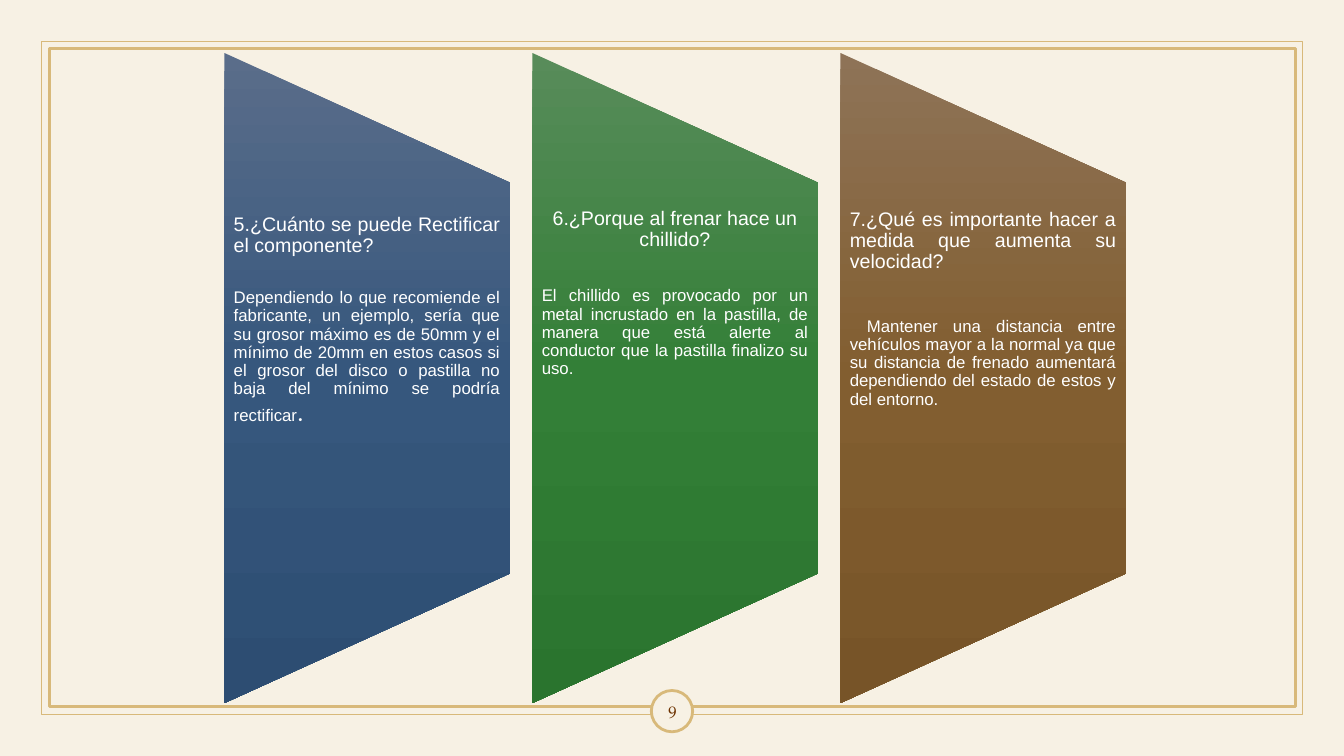
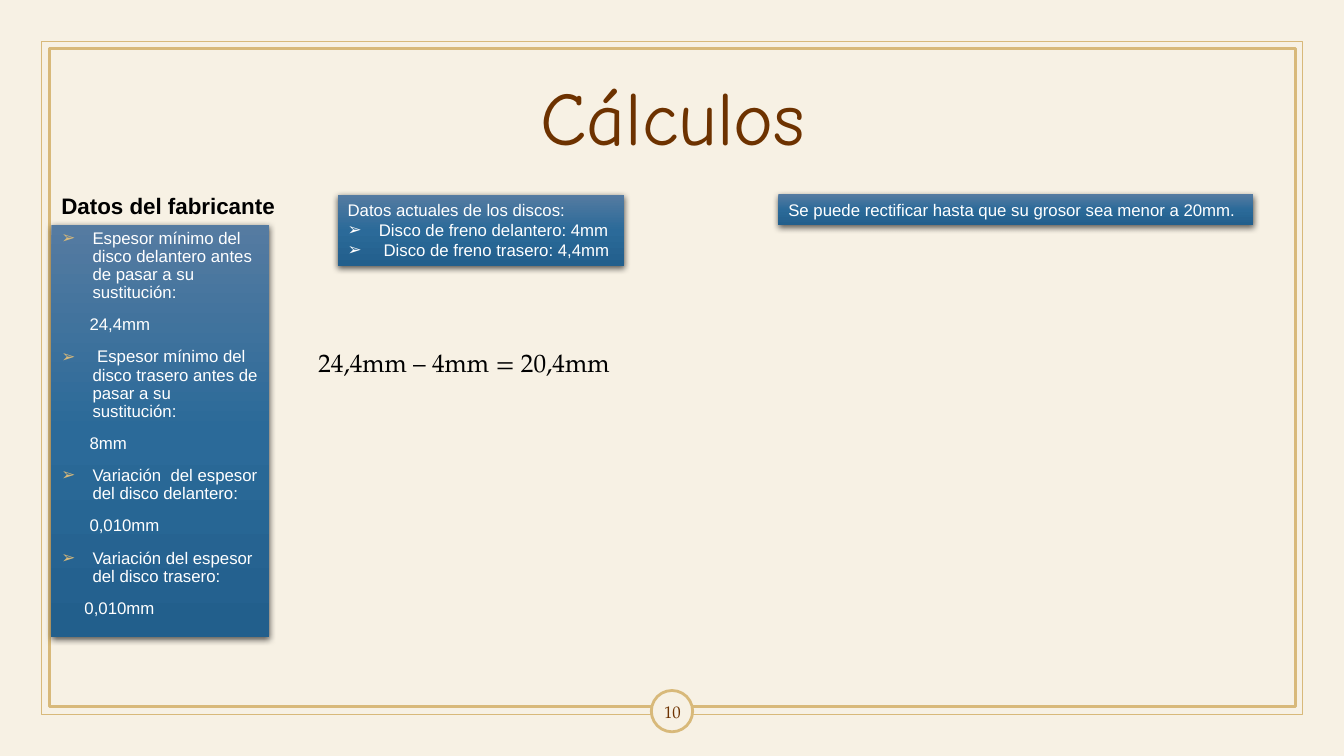
from pptx import Presentation
from pptx.dml.color import RGBColor
from pptx.enum.shapes import MSO_SHAPE
from pptx.enum.text import MSO_ANCHOR, PP_ALIGN
from pptx.oxml import parse_xml
from pptx.oxml.ns import nsdecls, qn
from pptx.util import Inches, Pt

RECT, OVAL = MSO_SHAPE.RECTANGLE, MSO_SHAPE.OVAL
PANEL = MSO_SHAPE.FLOWCHART_MANUAL_OPERATION
TOP, MIDDLE = MSO_ANCHOR.TOP, MSO_ANCHOR.MIDDLE
LEFT, CENTER, JUSTIFY = PP_ALIGN.LEFT, PP_ALIGN.CENTER, PP_ALIGN.JUSTIFY

CREAM = RGBColor(0xF7, 0xF1, 0xE4)
GOLD = RGBColor(0xD8, 0xB9, 0x7A)
BROWN = RGBColor(0x6D, 0x32, 0x00)
WHITE = RGBColor(0xFF, 0xFF, 0xFF)
BLACK = RGBColor(0x00, 0x00, 0x00)
NAVY = [RGBColor(0x5A, 0x6D, 0x8A), RGBColor(0x36, 0x57, 0x7D), RGBColor(0x2D, 0x4D, 0x72)]
GREEN = [RGBColor(0x58, 0x8C, 0x5A), RGBColor(0x33, 0x7F, 0x37), RGBColor(0x2A, 0x74, 0x2E)]
EARTH = [RGBColor(0x8E, 0x73, 0x57), RGBColor(0x82, 0x5E, 0x30), RGBColor(0x77, 0x54, 0x28)]
BLUE = [RGBColor(0x55, 0x7B, 0xA1), RGBColor(0x2B, 0x6A, 0x99), RGBColor(0x22, 0x5F, 0x8C)]
SANS, SERIF, HAND = "Arial", "TeX Gyre Pagella", "Comic Neue"


def shade(shape, tones):
    """Fill a shape from top to bottom with three tones and no line."""
    stops = "".join(
        f'<a:gs pos="{i * 50000}"><a:srgbClr val="{tone}"/></a:gs>'
        for i, tone in enumerate(tones))
    shape.shadow.inherit = False
    shape.line.fill.background()
    shape.fill.background()
    props = shape.fill._xPr
    props.replace(props.find(qn("a:noFill")), parse_xml(
        f'<a:gradFill {nsdecls("a")} rotWithShape="0"><a:gsLst>{stops}</a:gsLst>'
        '<a:lin ang="5400000" scaled="0"/></a:gradFill>'))


def write(shape, text, size=12, color=WHITE, font=SANS, align=LEFT,
          anchor=TOP, indent=0, first=0, bullet=None):
    """Add a paragraph; bullet is the colour of its mark."""
    frame = shape.text_frame
    frame.word_wrap = True
    frame.vertical_anchor = anchor
    para = frame.add_paragraph() if frame.text else frame.paragraphs[0]
    para.alignment = align
    props = para._p.get_or_add_pPr()
    props.set("marL", str(Inches(indent)))
    props.set("indent", str(Inches(first)))
    if bullet:
        for part in (f'<a:buClr {nsdecls("a")}><a:srgbClr val="{bullet}"/></a:buClr>',
                     f'<a:buFont {nsdecls("a")} typeface="{SANS}"/>',
                     f'<a:buChar {nsdecls("a")} char="➢"/>'):
            props.append(parse_xml(part))
    run = para.add_run()
    run.text = text
    run.font.size = Pt(size)
    run.font.name = font
    run.font.color.rgb = color
    return para


prs = Presentation()
prs.slide_width, prs.slide_height = Inches(13.33), Inches(7.5)
master = prs.slide_master
fill = master.background.fill
fill.solid()
fill.fore_color.rgb = CREAM
quiz, sums = [prs.slides.add_slide(prs.slide_layouts[6]) for _ in range(2)]

# Shared frame, moved to the master
for kind, x, y, w, h, line in [(RECT, 0.41, 0.41, 12.51, 6.68, 1),
                               (RECT, 0.49, 0.48, 12.36, 6.53, 2),
                               (OVAL, 6.46, 6.85, 0.41, 0.41, 2)]:
    part = quiz.shapes.add_shape(kind, Inches(x), Inches(y), Inches(w), Inches(h))
    part.shadow.inherit = False
    part.line.color.rgb = GOLD
    part.line.width = Pt(line)
    if kind == OVAL:
        part.fill.solid()
        part.fill.fore_color.rgb = CREAM
    else:
        part.fill.background()
    master.shapes._spTree.append(part._element)

# Page numbers
for page, slide in enumerate((quiz, sums), 9):
    box = slide.shapes.add_textbox(Inches(6.37), Inches(6.86), Inches(0.6), Inches(0.4))
    write(box, str(page), 12, BROWN, SERIF, CENTER, MIDDLE)

# Questions: tones, text inset, title alignment, gap, first-line indent
cards = [
    (NAVY, 0.32, JUSTIFY, 23, 0, "5.¿Cuánto se puede Rectificar el componente?",
     "Dependiendo lo que recomiende el fabricante, un ejemplo, sería que su grosor "
     "máximo es de 50mm y el mínimo de 20mm en estos casos si el grosor del disco o "
     "pastilla no baja del mínimo se podría rectificar"),
    (GREEN, 0.26, CENTER, 26, 0, "6.¿Porque al frenar hace un chillido?",
     "El chillido es provocado por un metal incrustado en la pastilla, de manera que "
     "está alerte al conductor que la pastilla finalizo su uso."),
    (EARTH, 0.27, JUSTIFY, 32, 0.17,
     "7.¿Qué es importante hacer a medida que aumenta su velocidad?",
     "Mantener una distancia entre vehículos mayor a la normal ya que su distancia de "
     "frenado aumentará dependiendo del estado de estos y del entorno."),
]
for i, (tones, inset, align, gap, first, ask, reply) in enumerate(cards):
    step = i * 3.055
    panel = quiz.shapes.add_shape(PANEL, Inches(0.42 + step), Inches(2.33),
                                  Inches(6.45), Inches(2.84))
    panel.rotation = 270
    shade(panel, tones)
    box = quiz.shapes.add_textbox(Inches(2.22 + step), Inches(1.81),
                                  Inches(2.84), Inches(3.87))
    box.text_frame.margin_top = Inches(inset)
    head = write(box, ask, 14, align=align)
    head.space_after = Pt(gap)
    body = write(box, reply, align=JUSTIFY, first=first)
    head.line_spacing = body.line_spacing = 0.9
    if i == 0:
        dot = body.add_run()
        dot.text = "."
        dot.font.size = Pt(19)
        dot.font.name = SERIF
        dot.font.color.rgb = WHITE

# Title and plain text
title = sums.shapes.add_textbox(Inches(0.92), Inches(0.71), Inches(11.5), Inches(0.99))
write(title, "Cálculos", 54, BROWN, HAND, CENTER, MIDDLE).line_spacing = 0.9
label = sums.shapes.add_textbox(Inches(0.51), Inches(1.86), Inches(2.84), Inches(0.37))
write(label, "Datos del fabricante", 16, BLACK).runs[0].font.bold = True
result = sums.shapes.add_textbox(Inches(3.06), Inches(3.4), Inches(3.43), Inches(0.71))
write(result, "24,4mm – 4mm = 20,4mm", 18, BLACK, SERIF)

# Blue boxes with a soft shadow
boxes = []
for x, y, w, h in [(0.51, 2.23, 2.16, 4.09), (7.72, 1.93, 4.71, 0.3),
                   (3.35, 1.93, 2.84, 0.71)]:
    box = sums.shapes.add_shape(RECT, Inches(x), Inches(y), Inches(w), Inches(h))
    shade(box, BLUE)
    box._element.spPr.find(qn("a:effectLst")).append(parse_xml(
        f'<a:outerShdw {nsdecls("a")} blurRad="{Pt(4.5)}" dist="{Pt(1.5)}" dir="5400000">'
        '<a:srgbClr val="000000"><a:alpha val="63000"/></a:srgbClr></a:outerShdw>'))
    boxes.append(box)
maker, limit, actual = boxes

# Maker's data: each item with its value below
for i, (item, value, indent) in enumerate([
        ("Espesor mínimo del disco delantero antes de pasar a su sustitución:", "24,4mm", 0.28),
        (" Espesor mínimo del disco trasero antes de pasar a su sustitución:", "8mm", 0.28),
        ("Variación  del espesor del disco delantero:", "0,010mm", 0.28),
        ("Variación del espesor del disco trasero:", "0,010mm", 0.23)]):
    name = write(maker, item, indent=0.31, first=-0.31, bullet=GOLD)
    size = write(maker, value, indent=indent)
    name.line_spacing = size.line_spacing = 0.9
    name.space_before = Pt(10 if i else 0)
    size.space_before = Pt(10)

# Limit and present data
write(limit, "Se puede rectificar hasta que su grosor sea menor a 20mm.")
write(actual, "Datos actuales de los discos:")
for item in ("Disco de freno delantero: 4mm", " Disco de freno trasero: 4,4mm"):
    write(actual, item, indent=0.31, first=-0.31, bullet=WHITE)

prs.save("out.pptx")
